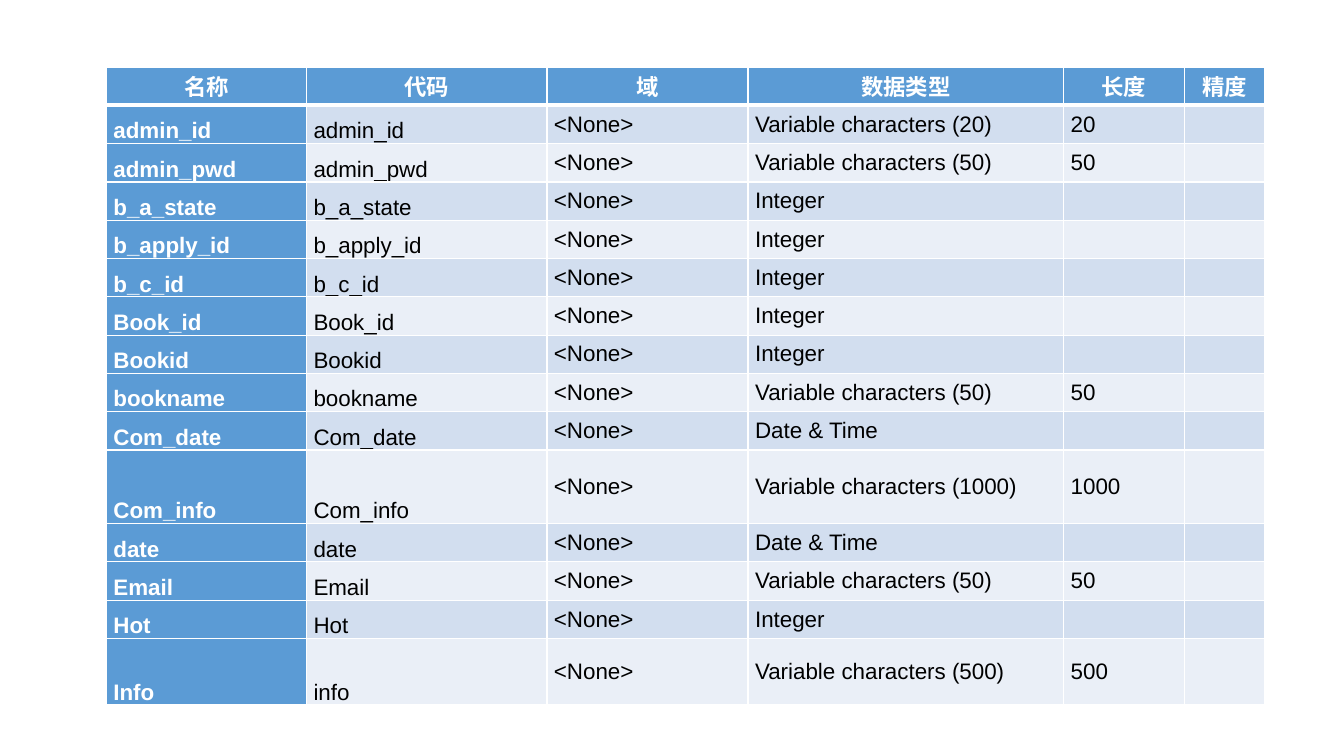
"""Build a slide with one data dictionary table."""
import dataclasses

import lxml.etree
import pptx
import pptx.dml.color
import pptx.enum.text
import pptx.oxml.ns
import pptx.table
import pptx.util

PX = 4572
ALIGN = pptx.enum.text.PP_ALIGN
ANCHOR = pptx.enum.text.MSO_ANCHOR


@dataclasses.dataclass(frozen=True)
class Theme:
    font: str = "Arial"
    size: int = 16
    head: str = "5B9BD5"
    odd: str = "D2DEEF"
    even: str = "EAEFF7"
    light: str = "FFFFFF"
    dark: str = "000000"
    thin: int = 1
    thick: int = 3


@dataclasses.dataclass(frozen=True)
class Field:
    name: str
    kind: str
    size: str = ""
    code: str = ""
    tall: int = 76

    def texts(self) -> list[str]:
        return [self.name, self.code or self.name, "<None>", self.kind, self.size, ""]


THEME = Theme()
HEADS = ["名称", "代码", "域", "数据类型", "长度", "精度"]
WIDTHS = [397, 477, 399, 626, 239, 160]
LEFT, TOP, HEAD_TALL, INSET = 211, 133, 76, 14
FIELDS = [
    Field("admin_id", "Variable characters (20)", "20"),
    Field("admin_pwd", "Variable characters (50)", "50"),
    Field("b_a_state", "Integer"),
    Field("b_apply_id", "Integer"),
    Field("b_c_id", "Integer"),
    Field("Book_id", "Integer"),
    Field("Bookid", "Integer"),
    Field("bookname", "Variable characters (50)", "50"),
    Field("Com_date", "Date & Time"),
    Field("Com_info", "Variable characters (1000)", "1000", tall=146),
    Field("date", "Date & Time"),
    Field("Email", "Variable characters (50)", "50"),
    Field("Hot", "Integer"),
    Field("Info", "Variable characters (500)", "500", code="info", tall=132),
]


def px(count: int) -> pptx.util.Emu:
    return pptx.util.Emu(count * PX)


def color(code: str) -> pptx.dml.color.RGBColor:
    return pptx.dml.color.RGBColor.from_string(code)


def write(cell: pptx.table._Cell, text: str, *, ink: str, bold: bool,
          align: ALIGN, anchor: ANCHOR) -> None:
    cell.margin_left = cell.margin_right = px(INSET)
    cell.margin_top = cell.margin_bottom = 0
    cell.vertical_anchor = anchor
    if not text:
        return
    para = cell.text_frame.paragraphs[0]
    para.alignment = align
    run = para.add_run()
    run.text = text
    run.font.name = THEME.font
    run.font.size = pptx.util.Pt(THEME.size)
    run.font.bold = bold
    run.font.color.rgb = color(ink)


def edge(cell: pptx.table._Cell, row: int) -> None:
    name = pptx.oxml.ns.qn
    props = cell._tc.get_or_add_tcPr()
    for side in "LRTB":
        thick = (row, side) in ((0, "B"), (1, "T"))
        width = pptx.util.Pt(THEME.thick if thick else THEME.thin)
        line = lxml.etree.SubElement(props, name(f"a:ln{side}"), w=str(width))
        fill = lxml.etree.SubElement(line, name("a:solidFill"))
        lxml.etree.SubElement(fill, name("a:srgbClr"), val=THEME.light)


def draw(cell: pptx.table._Cell, text: str, row: int, col: int) -> None:
    strong = row == 0 or col == 0
    write(cell, text, ink=THEME.light if strong else THEME.dark, bold=strong,
          align=ALIGN.JUSTIFY if row else ALIGN.CENTER,
          anchor=ANCHOR.BOTTOM if row and col < 2 else ANCHOR.MIDDLE)
    edge(cell, row)
    band = THEME.odd if row % 2 else THEME.even
    cell.fill.solid()
    cell.fill.fore_color.rgb = color(THEME.head if strong else band)


def main() -> None:
    deck = pptx.Presentation()
    deck.slide_width = pptx.util.Inches(13.33)
    deck.slide_height = pptx.util.Inches(7.5)
    slide = deck.slides.add_slide(deck.slide_layouts[6])
    rows = [HEADS] + [field.texts() for field in FIELDS]
    talls = [HEAD_TALL] + [field.tall for field in FIELDS]
    table = slide.shapes.add_table(len(rows), len(HEADS), px(LEFT), px(TOP),
                                   px(sum(WIDTHS)), px(sum(talls))).table
    for col, width in enumerate(WIDTHS):
        table.columns[col].width = px(width)
    for row, (texts, tall) in enumerate(zip(rows, talls)):
        table.rows[row].height = px(tall)
        for col, text in enumerate(texts):
            draw(table.cell(row, col), text, row, col)
    deck.save("out.pptx")


if __name__ == "__main__":
    main()
